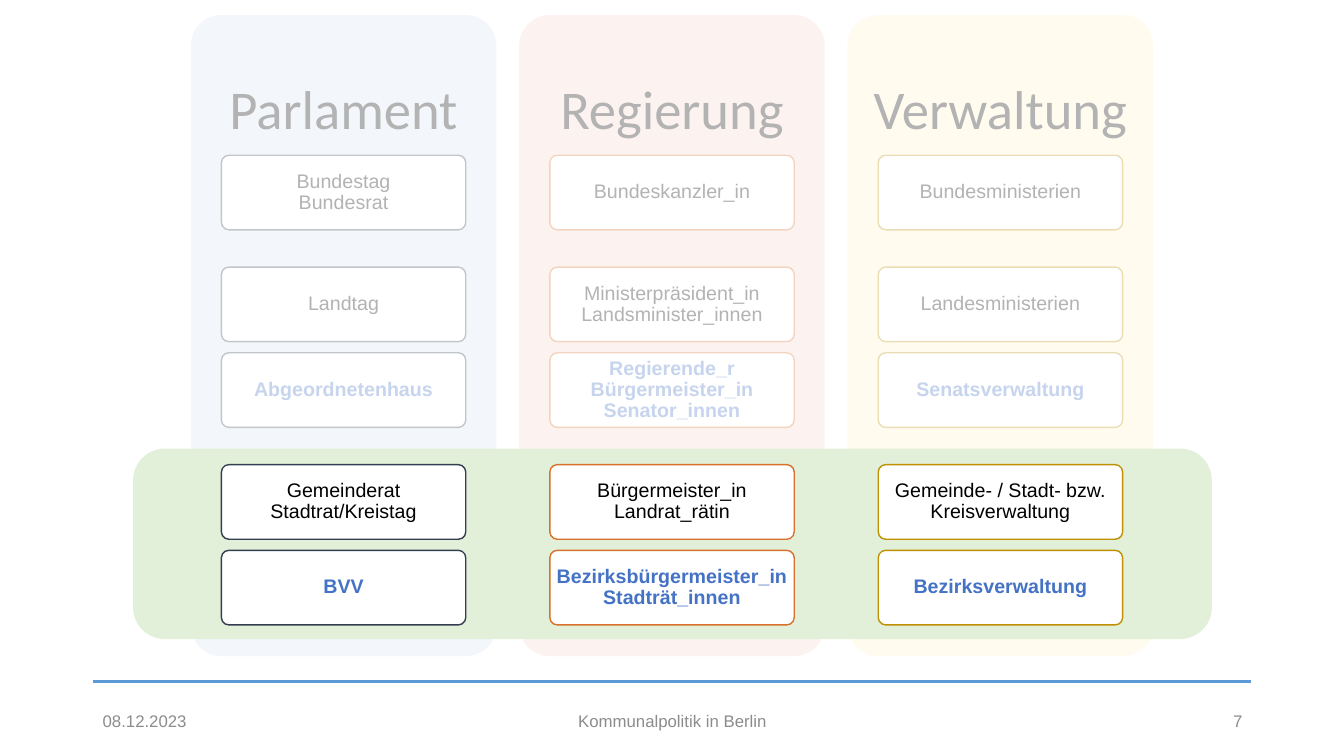
import pptx
import pptx.util
import pptx.dml.color
import pptx.enum.shapes
import pptx.enum.text
import pptx.oxml

# Content: each pillar has three faded entries and two highlighted ones
PILLARS = [
    {"title": "Parlament", "fill": "DAE3F3", "line": "333F50", "entries": [
        "Bundestag\nBundesrat", "Landtag", "Abgeordnetenhaus",
        "Gemeinderat\nStadtrat/Kreistag", "BVV"]},
    {"title": "Regierung", "fill": "F8D7CE", "line": "D7712C", "entries": [
        "Bundeskanzler_in", "Ministerpräsident_in\nLandsminister_innen",
        "Regierende_r Bürgermeister_in\nSenator_innen",
        "Bürgermeister_in\nLandrat_rätin", "Bezirksbürgermeister_in\nStadträt_innen"]},
    {"title": "Verwaltung", "fill": "FFF2CC", "line": "BF9000", "entries": [
        "Bundesministerien", "Landesministerien", "Senatsverwaltung",
        "Gemeinde- / Stadt- bzw. Kreisverwaltung", "Bezirksverwaltung"]},
]
BERLIN_ROWS = (2, 4)
FADED_ROWS, LOCAL_ROWS = range(0, 3), range(3, 5)
ALIGN = pptx.enum.text.PP_ALIGN
FOOTER = [("08.12.2023", 0.92, 3, ALIGN.LEFT),
          ("Kommunalpolitik in Berlin", 4.42, 4.5, ALIGN.CENTER),
          ("7", 9.42, 3, ALIGN.RIGHT)]

# Grid in inches
SLIDE_W, SLIDE_H = 13.33, 7.5
MARGIN = 0.92
CONTENT_W = SLIDE_W - 2 * MARGIN
COLUMN_W, COLUMN_TOP, COLUMN_H = 3.03, 0.15, 6.36
COLUMN_PITCH = COLUMN_W * 1.075
BOX_W, BOX_H = COLUMN_W * 0.8, 0.74
FIRST_ROW, LEVEL_STEP, PAIR_STEP = 1.54, 1.11, 0.85
ROW_TOPS = [FIRST_ROW + levels * LEVEL_STEP + pairs * PAIR_STEP
            for levels, pairs in ((0, 0), (1, 0), (1, 1), (2, 1), (2, 2))]
SHAPE = pptx.enum.shapes.MSO_SHAPE
Inches, Pt = pptx.util.Inches, pptx.util.Pt


def color(value):
    return pptx.dml.color.RGBColor.from_string(value)


def column_center(index):
    return SLIDE_W / 2 + (index - 1) * COLUMN_PITCH


def add_panel(kind, left, top, width, height, fill, line=None, radius=None):
    panel = page.shapes.add_shape(kind, *map(Inches, (left, top, width, height)))
    panel.shadow.inherit = False
    panel.fill.solid()
    panel.fill.fore_color.rgb = color(fill)
    if line:
        panel.line.color.rgb = color(line)
        panel.line.width = Pt(1)
    else:
        panel.line.fill.background()
    if radius is not None:
        panel.adjustments[0] = radius
    return panel


def write(box, text, size, font, ink, align=ALIGN.CENTER, bold=False,
          insets=(0.1, 0.05, 0.1, 0.05), spacing=None):
    frame = box.text_frame
    frame.word_wrap = True
    frame.vertical_anchor = pptx.enum.text.MSO_ANCHOR.MIDDLE
    frame.margin_left, frame.margin_top, frame.margin_right, frame.margin_bottom = map(Inches, insets)
    para = frame.paragraphs[0]
    para.text = text
    para.alignment = align
    para.line_spacing = spacing
    for span in para.runs:
        span.font.size = Pt(size)
        span.font.name = font
        span.font.bold = bold
        span.font.color.rgb = color(ink)


def add_entries(column, rows):
    pillar = PILLARS[column]
    for row in rows:
        box = add_panel(SHAPE.ROUNDED_RECTANGLE, column_center(column) - BOX_W / 2,
                        ROW_TOPS[row], BOX_W, BOX_H, "FFFFFF", pillar["line"], 0.1)
        berlin = row in BERLIN_ROWS
        write(box, pillar["entries"][row], 14, "Arial", "4472C4" if berlin else "000000",
              bold=berlin, insets=(0.03,) * 4, spacing=0.9)


deck = pptx.Presentation()
deck.slide_width, deck.slide_height = Inches(SLIDE_W), Inches(SLIDE_H)
page = deck.slides.add_slide(deck.slide_layouts[6])

# Rule above the footer
rule = page.shapes.add_connector(
    pptx.enum.shapes.MSO_CONNECTOR.STRAIGHT,
    *map(Inches, (MARGIN, 6.76, MARGIN + CONTENT_W, 6.76)))
rule.line.color.rgb = color("5B9BD5")
rule.line.width = Pt(2.25)
rule._element.spPr.append(pptx.oxml.parse_xml(
    '<a:effectLst xmlns:a="http://schemas.openxmlformats.org/drawingml/2006/main"/>'))

# Pillars with federal and state levels
for column, pillar in enumerate(PILLARS):
    panel = add_panel(SHAPE.ROUNDED_RECTANGLE, column_center(column) - COLUMN_W / 2,
                      COLUMN_TOP, COLUMN_W, COLUMN_H, pillar["fill"], radius=0.1)
    write(panel, pillar["title"], 39, "Calibri", "000000",
          insets=(0.07, 0.07, 0.07, 4.52), spacing=0.9)
    add_entries(column, FADED_ROWS)

# Footer
for text, left, width, align in FOOTER:
    box = page.shapes.add_textbox(*map(Inches, (left, 6.95, width, 0.4)))
    write(box, text, 12, "Arial", "8C8C8C", align)

# Translucent veil over the upper levels
veil = add_panel(SHAPE.RECTANGLE, MARGIN, 0, CONTENT_W, 6.69, "FFFFFF")
veil_color = veil.fill._xPr.solidFill.srgbClr
veil_color.append(pptx.oxml.parse_xml(
    '<a:alpha xmlns:a="http://schemas.openxmlformats.org/drawingml/2006/main" val="70000"/>'))

# Highlighted local level
add_panel(SHAPE.ROUNDED_RECTANGLE, 1.32, 4.45, 10.7, 1.89, "E2F0D9")
for column in range(len(PILLARS)):
    add_entries(column, LOCAL_ROWS)

deck.save("out.pptx")
